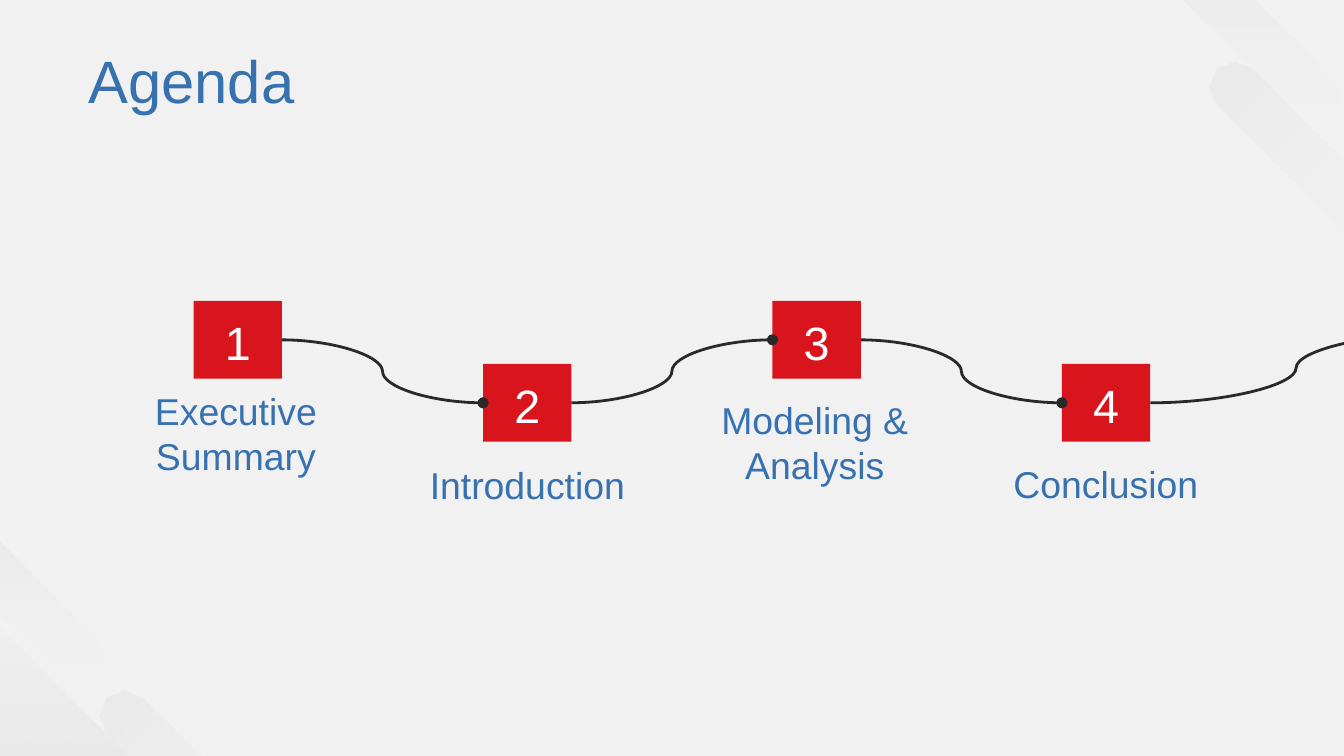
"""Build the agenda slide: four numbered steps joined by a wavy line."""
from dataclasses import dataclass
from math import cos, radians, sin

from lxml import etree
from pptx import Presentation
from pptx.dml.color import RGBColor
from pptx.enum.shapes import MSO_CONNECTOR, MSO_SHAPE
from pptx.enum.text import MSO_ANCHOR, PP_ALIGN
from pptx.oxml.ns import qn
from pptx.util import Cm, Pt

RECT = MSO_SHAPE.RECTANGLE
CURVE = MSO_CONNECTOR.CURVE
TOP, MIDDLE = MSO_ANCHOR.TOP, MSO_ANCHOR.MIDDLE
LEFT, CENTER = PP_ALIGN.LEFT, PP_ALIGN.CENTER


@dataclass(frozen=True)
class Theme:
    font: str = "Arial"
    back: RGBColor = RGBColor(0xF1, 0xF1, 0xF1)
    blue: RGBColor = RGBColor(0x37, 0x71, 0xB0)
    red: RGBColor = RGBColor(0xD8, 0x15, 0x1C)
    dark: RGBColor = RGBColor(0x29, 0x29, 0x29)
    white: RGBColor = RGBColor(0xFF, 0xFF, 0xFF)
    title: Pt = Pt(32)
    number: Pt = Pt(25)
    label: Pt = Pt(20)


theme = Theme()


def write(sp, text, size, color, align, anchor):
    tf = sp.text_frame
    tf.word_wrap = True
    tf.vertical_anchor = anchor
    tf.margin_left = tf.margin_right = tf.margin_top = tf.margin_bottom = Cm(0.25)
    p = tf.paragraphs[0]
    p.text = text
    p.alignment = align
    p.line_spacing = 1.0
    p.font.name = theme.font
    p.font.size = size
    p.font.color.rgb = color


def capsule(cx, cy, radius=0.48, reach=1.68):
    return [
        (cx + side * reach + radius * cos(radians(a)),
         cy + side * reach + radius * sin(radians(a)))
        for side, first in ((1, -45), (-1, 135))
        for a in range(first, first + 181, 45)
    ]


prs = Presentation()
prs.slide_width, prs.slide_height = Cm(25.4), Cm(14.29)
s = prs.slides.add_slide(prs.slide_layouts[5])
s.background.fill.solid()
s.background.fill.fore_color.rgb = theme.back

wedge = [(-2.36, 9.5), (4.24, 16.1), (0.28, 16.1), (-2.36, 13.51)]
stripes = (
    (capsule(-0.2, 10.72), 270, 10),
    (capsule(4.04, 15.21), 225, 4),
    (wedge, 90, 8),
    (capsule(23.19, 0.15), 270, 10),
    (capsule(25.02, 3.33), 225, 4),
)
for outline, angle, opacity in stripes:
    points = [(Cm(x), Cm(y)) for x, y in outline]
    builder = s.shapes.build_freeform(*points[0])
    builder.add_line_segments(points[1:])
    sp = builder.convert_to_shape()
    sp.shadow.inherit = False
    sp.line.fill.background()
    sp.fill.gradient()
    sp.fill.gradient_angle = 360 - angle
    stops = sp.fill.gradient_stops
    for stop, color, position in zip(stops, (theme.white, theme.dark), (0, 1)):
        stop.color.rgb = color
        stop.position = position
    colors = list(sp.element.spPr.iter(qn("a:srgbClr")))
    for color, percent in zip(colors, (0, opacity)):
        etree.SubElement(color, qn("a:alpha"), val=str(percent * 1000))

title = s.shapes.title
title.left, title.top, title.width, title.height = Cm(1.42), Cm(0.48), Cm(14.63), Cm(2.06)
write(title, "Agenda", theme.title, theme.blue, LEFT, MIDDLE)

BOX_W, BOX_H, PITCH = 1.67, 1.47, 5.47
steps = (
    ("Executive Summary", 1.96, 7.62),
    ("Introduction", 7.47, 8.59),
    ("Modeling & Analysis", 12.9, 7.78),
    ("Conclusion", 18.4, 8.58),
)
boxes = [(3.66 + i * PITCH, 6.88 if i % 2 else 5.69) for i in range(len(steps))]
for number, ((x, y), (label, left, top)) in enumerate(zip(boxes, steps), 1):
    box = s.shapes.add_shape(RECT, Cm(x), Cm(y), Cm(BOX_W), Cm(BOX_H))
    box.shadow.inherit = False
    box.fill.solid()
    box.fill.fore_color.rgb = theme.red
    box.line.fill.background()
    write(box, str(number), theme.number, theme.white, CENTER, TOP)
    caption = s.shapes.add_textbox(Cm(left), Cm(top), Cm(5), Cm(1.14))
    write(caption, label, theme.label, theme.blue, CENTER, MIDDLE)

ends = [(x, y + BOX_H / 2) for x, y in boxes[1:]] + [(27.25, 6.3)]
for (x, y), (end_x, end_y) in zip(boxes, ends):
    line = s.shapes.add_connector(
        CURVE, Cm(x + BOX_W), Cm(y + BOX_H / 2), Cm(end_x), Cm(end_y))
    line.line.color.rgb = theme.dark
    line.line.width = Pt(1.5)
    spPr = line.element.spPr
    etree.SubElement(spPr.find(qn("a:ln")), qn("a:tailEnd"), type="oval")
    etree.SubElement(spPr, qn("a:effectLst"))

prs.save("out.pptx")
